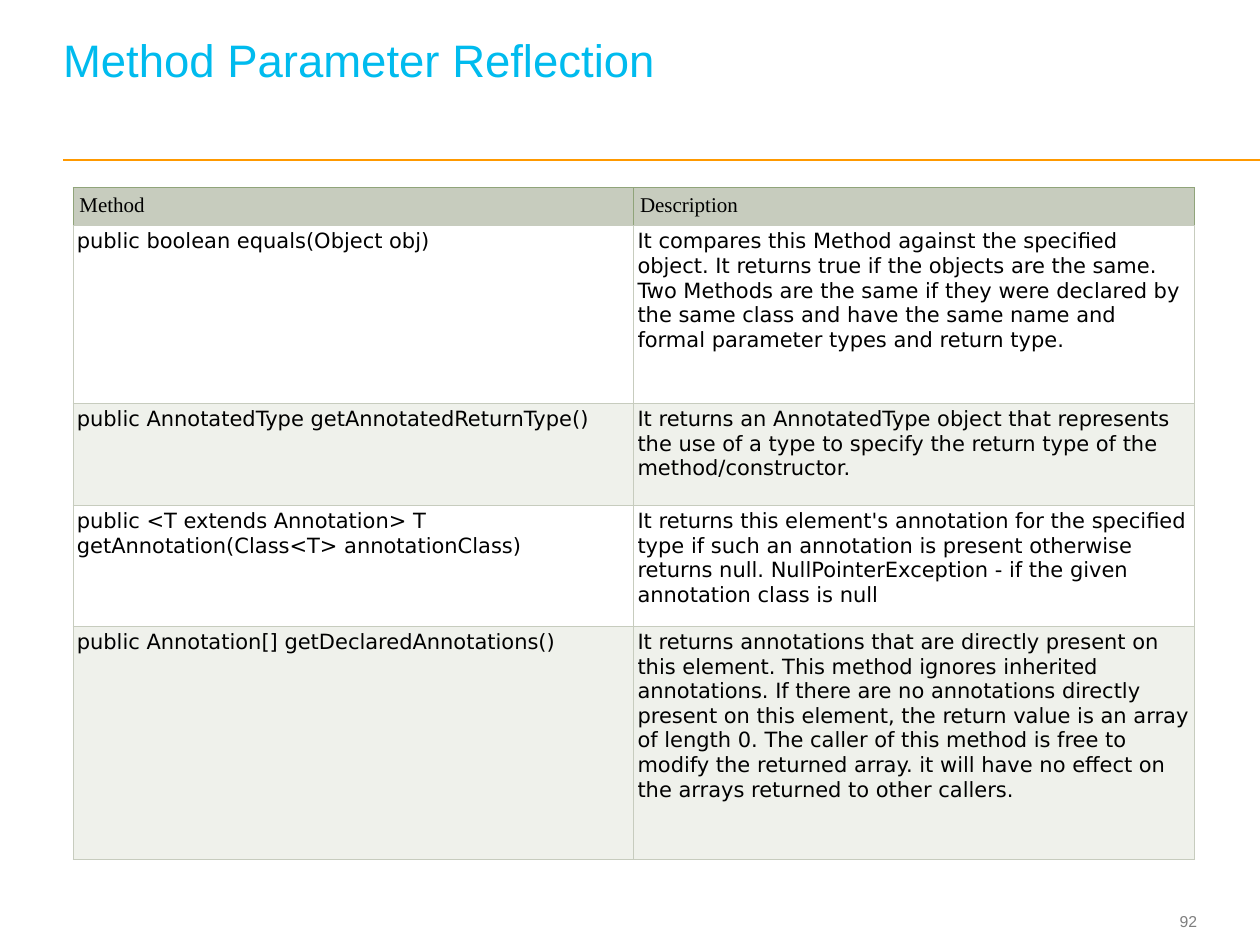
import pptx
import pptx.util
import pptx.dml.color
import pptx.enum.shapes
import pptx.enum.text
import pptx.oxml

COLORS = {"title": "00BBEE", "rule": "FF9900", "number": "7F7F7F", "text": "000000",
          "header": "C7CCBE", "header_edge": "90A47A", "plain": "FFFFFF", "band": "EFF1EB"}
GRID_COLUMNS, GRID_ROWS = 100, 75
NAMESPACE = "http://schemas.openxmlformats.org/drawingml/2006/main"
TITLE_FORMAT = {"name": "Arial", "size": pptx.util.Pt(26), "bold": False}
NUMBER_FORMAT = {"name": "Arial", "size": pptx.util.Pt(9)}
HEADER_FORMAT = {"name": "Times New Roman", "size": pptx.util.Pt(12), "bold": False}
BODY_FORMAT = {"name": "DejaVu Sans", "size": pptx.util.Pt(12), "bold": False}
ROW_HEIGHTS = [2.9, 14.1, 8.1, 9.6, 18.5]
METHODS = [
    ("Method", "Description"),
    ("public boolean equals(Object obj)",
     "It compares this Method against the specified object. It returns true if the objects "
     "are the same. Two Methods are the same if they were declared by the same class and have "
     "the same name and formal parameter types and return type."),
    ("public AnnotatedType getAnnotatedReturnType()",
     "It returns an AnnotatedType object that represents the use of a type to specify the "
     "return type of the method/constructor."),
    ("public <T extends Annotation> T getAnnotation(Class<T> annotationClass)",
     "It returns this element's annotation for the specified type if such an annotation is "
     "present otherwise returns null. NullPointerException - if the given annotation class "
     "is null"),
    ("public Annotation[] getDeclaredAnnotations()",
     "It returns annotations that are directly present on this element. This method ignores "
     "inherited annotations. If there are no annotations directly present on this element, "
     "the return value is an array of length 0. The caller of this method is free to modify "
     "the returned array. it will have no effect on the arrays returned to other callers."),
]


def across(columns):
    """Turn grid columns into a length."""
    return pptx.util.Inches(10 * columns / GRID_COLUMNS)


def down(rows):
    """Turn grid rows into a length."""
    return pptx.util.Inches(7.5 * rows / GRID_ROWS)


def place(left, top, width, height):
    """Turn a box on the grid into lengths."""
    return across(left), down(top), across(width), down(height)


def apply(target, values):
    """Set every attribute named in a dict."""
    for name, value in values.items():
        setattr(target, name, value)


def rgb(name):
    """Look up a named colour."""
    return pptx.dml.color.RGBColor.from_string(COLORS[name])


def write(frame, text, values, color, **paragraph_values):
    """Write one formatted paragraph into a text frame."""
    paragraph = frame.paragraphs[0]
    apply(paragraph, paragraph_values)
    run = paragraph.add_run()
    run.text = text
    apply(run.font, values)
    run.font.color.rgb = rgb(color)


def add_title(slide, text):
    """Fill and move the title placeholder."""
    title = slide.shapes.title
    apply(title, dict(zip(("left", "top", "width", "height"), place(5, 1.9, 89.7, 8.6))))
    apply(title.text_frame, {
        "margin_left": 0, "margin_right": 0, "margin_top": 0, "margin_bottom": down(3.6),
        "vertical_anchor": pptx.enum.text.MSO_ANCHOR.BOTTOM, "word_wrap": True,
        "auto_size": pptx.enum.text.MSO_AUTO_SIZE.NONE})
    write(title.text_frame, text, TITLE_FORMAT, "title",
          alignment=pptx.enum.text.PP_ALIGN.LEFT, line_spacing=pptx.util.Pt(26))


def add_rule(slide):
    """Draw the line below the title."""
    rule = slide.shapes.add_connector(pptx.enum.shapes.MSO_CONNECTOR.STRAIGHT,
                                      across(5), down(12.7), across(100), down(12.7))
    apply(rule.line, {"width": pptx.util.Pt(1)})
    rule.line.color.rgb = rgb("rule")
    rule._element.spPr.append(pptx.oxml.parse_xml(f'<a:effectLst xmlns:a="{NAMESPACE}"/>'))


def add_page_number(slide, text):
    """Write the page number at the lower right."""
    box = slide.shapes.add_textbox(*place(89.1, 71.8, 5.9, 2.7))
    apply(box.text_frame, {
        "margin_left": 0, "margin_right": 0, "margin_top": 0, "margin_bottom": 0,
        "vertical_anchor": pptx.enum.text.MSO_ANCHOR.MIDDLE, "word_wrap": True})
    write(box.text_frame, text, NUMBER_FORMAT, "number",
          alignment=pptx.enum.text.PP_ALIGN.RIGHT)


def add_borders(cell, edge, bottom):
    """Give a cell its four border lines."""
    properties = cell._tc.get_or_add_tcPr()
    for side, color in zip("LRTB", (edge, edge, edge, bottom)):
        properties.append(pptx.oxml.parse_xml(
            f'<a:ln{side} xmlns:a="{NAMESPACE}" w="7620"><a:solidFill>'
            f'<a:srgbClr val="{COLORS[color]}"/></a:solidFill></a:ln{side}>'))


def fill_cell(cell, text, row_index):
    """Format one cell as header, plain or banded."""
    is_header = row_index == 0
    margin = across(0.5 if is_header else 0.3)
    apply(cell, {f"margin_{side}": margin for side in ("left", "right", "top", "bottom")})
    add_borders(cell, "header_edge" if is_header else "header", "header")
    cell.fill.solid()
    cell.fill.fore_color.rgb = rgb(
        "header" if is_header else "plain" if row_index % 2 else "band")
    write(cell.text_frame, text, HEADER_FORMAT if is_header else BODY_FORMAT, "text")


def add_method_table(slide):
    """Build the table of methods and descriptions."""
    table = slide.shapes.add_table(len(METHODS), 2,
                                   *place(5.8, 14.9, 89, sum(ROW_HEIGHTS))).table
    apply(table, {"first_row": False, "horz_banding": False})
    for row_index, (height, texts) in enumerate(zip(ROW_HEIGHTS, METHODS)):
        table.rows[row_index].height = down(height)
        for column_index, text in enumerate(texts):
            fill_cell(table.cell(row_index, column_index), text, row_index)


def main():
    """Build and save the slide."""
    presentation = pptx.Presentation()
    apply(presentation, {"slide_width": across(GRID_COLUMNS), "slide_height": down(GRID_ROWS)})
    slide = presentation.slides.add_slide(presentation.slide_layouts.get_by_name("Title Only"))
    add_rule(slide)
    add_page_number(slide, "92")
    add_title(slide, "Method Parameter Reflection")
    add_method_table(slide)
    presentation.save("out.pptx")


if __name__ == "__main__":
    main()
